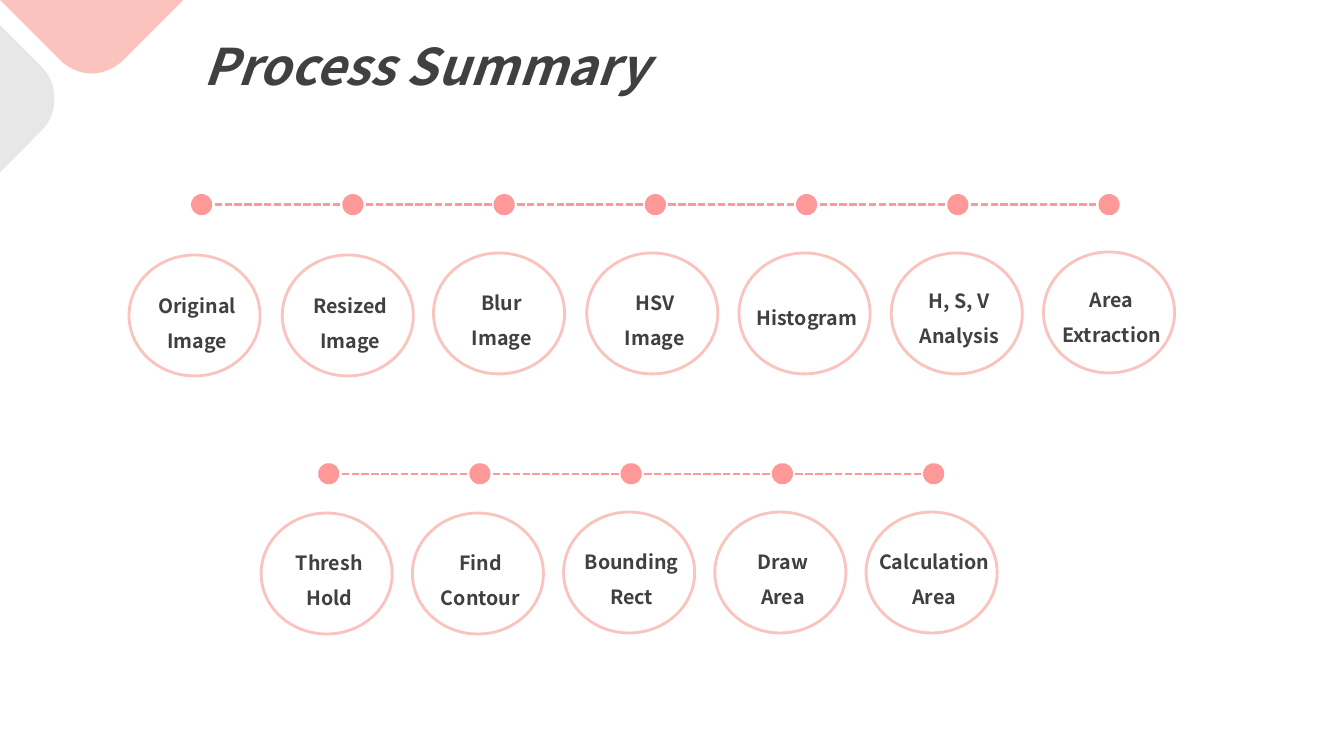
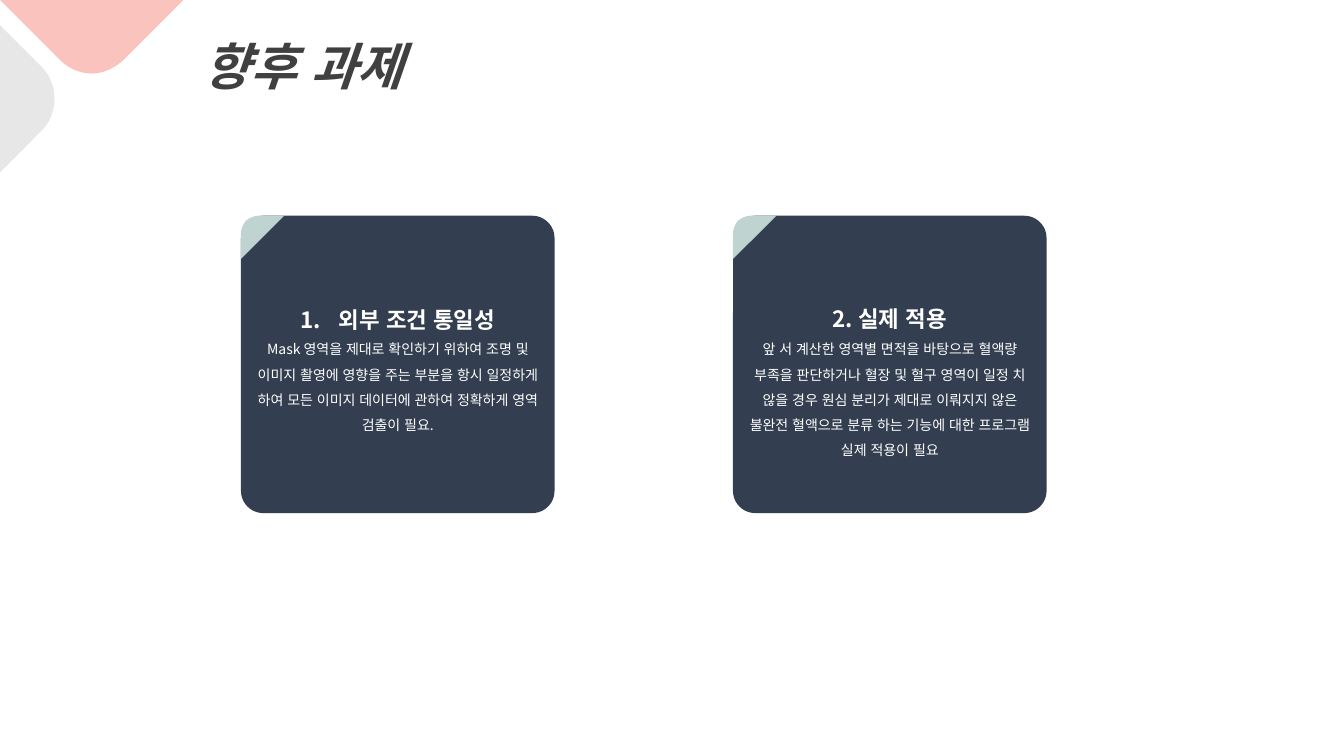
from pptx import Presentation
from pptx.dml.color import RGBColor
from pptx.enum.dml import MSO_LINE
from pptx.enum.lang import MSO_LANGUAGE_ID
from pptx.enum.shapes import MSO_CONNECTOR, MSO_SHAPE
from pptx.enum.text import MSO_ANCHOR, MSO_AUTO_SIZE, PP_ALIGN
from pptx.oxml.ns import qn
from pptx.util import Inches, Pt
from lxml.etree import SubElement

FONT = "Noto Sans CJK KR"
COLORS = {
    "text": "404040", "white": "FFFFFF", "blush": "FAC3BE", "grey": "E7E7E7",
    "coral": "FF9999", "navy": "333F50", "sage": "BFD3D1",
}
PINK_CORNER = [(0.91, 0.73), (1.02, 0.73, 1.13, 0.68, 1.22, 0.6), (1.82, 0), (0, 0),
               (0.6, 0.6), (0.68, 0.68, 0.8, 0.73, 0.91, 0.73)]
GREY_CORNER = [(0, 0.25), (0.41, 0.66), (0.5, 0.75, 0.54, 0.86, 0.54, 0.98),
               (0.54, 1.1, 0.5, 1.21, 0.41, 1.3), (0, 1.71)]
CARD_FOLD = [(0, 0.43), (0, 0.19), (0, 0.13, 0.02, 0.09, 0.05, 0.05),
             (0.09, 0.02, 0.13, 0, 0.19, 0), (0.43, 0)]

STEP = 1.5
DOT = 0.08
RING_W, RING_H = 1.3, 1.2
CARD_W, CARD_H = 3.11, 2.95

FIRST_STAGES = [
    (1.28, 2.53, 0.22, ["Original", "Image"]),
    (2.8, 2.53, 0.22, ["Resized", "Image"]),
    (4.3, 2.51, 0.21, ["Blur", "Image"]),
    (5.82, 2.51, 0.21, ["HSV", "Image"]),
    (7.33, 2.51, 0.36, ["Histogram"]),
    (8.84, 2.51, 0.19, ["H, S, V", "Analysis"]),
    (10.35, 2.5, 0.19, ["Area", "Extraction"]),
]
SECOND_STAGES = [
    (2.59, 5.09, 0.21, ["Thresh", "Hold"]),
    (4.09, 5.09, 0.21, ["Find", "Contour"]),
    (5.59, 5.08, 0.21, ["Bounding", "Rect"]),
    (7.09, 5.08, 0.21, ["Draw", "Area"]),
    (8.59, 5.08, 0.21, ["Calculation", "Area"]),
]
TASKS = [
    (2.39, 1.51, "외부 조건 통일성", True,
     "Mask 영역을 제대로 확인하기 위하여 조명 및 이미지 촬영에 영향을 주는 부분을 "
     "항시 일정하게 하여 모든 이미지 데이터에 관하여 정확하게 영역 검출이 필요."),
    (7.27, 1.77, "2. 실제 적용", False,
     "앞 서 계산한 영역별 면적을 바탕으로 혈액량 부족을 판단하거나 혈장 및 혈구 영역이 "
     "일정 치 않을 경우 원심 분리가 제대로 이뤄지지 않은 불완전 혈액으로 분류 하는 "
     "기능에 대한 프로그램 실제 적용이 필요"),
]


def rgb(name):
    return RGBColor.from_string(COLORS[name])


def write(paragraph, text, size=14, color="text", bold=False, italic=False,
          align=PP_ALIGN.CENTER, numbered=False):
    paragraph.alignment = align
    paragraph.line_spacing = 1.5
    if numbered:
        props = paragraph._p.get_or_add_pPr()
        props.set("marL", str(Inches(0.38)))
        props.set("indent", str(-Inches(0.38)))
        SubElement(props, qn("a:buAutoNum"), type="arabicPeriod")
    run = paragraph.add_run()
    run.text = text
    font = run.font
    font.name, font.size = FONT, Pt(size)
    font.bold, font.italic = bold, italic
    font.color.rgb = rgb(color)
    font.language_id = MSO_LANGUAGE_ID.KOREAN
    SubElement(run._r.get_or_add_rPr(), qn("a:ea"), typeface=FONT)


def set_frame(frame, side_margin=0.1):
    frame.word_wrap = True
    frame.auto_size = MSO_AUTO_SIZE.NONE
    frame.vertical_anchor = MSO_ANCHOR.TOP
    frame.margin_left = frame.margin_right = Inches(side_margin)
    return frame


def add_text(slide, left, top, width, height, lines, side_margin=0.1):
    box = slide.shapes.add_textbox(*map(Inches, (left, top, width, height)))
    frame = set_frame(box.text_frame, side_margin)
    for index, (text, style) in enumerate(lines):
        paragraph = frame.add_paragraph() if index else frame.paragraphs[0]
        write(paragraph, text, **style)


def paint(shape, fill, line=None, weight=0):
    shape.shadow.inherit = False
    shape.fill.solid()
    shape.fill.fore_color.rgb = rgb(fill)
    if line:
        shape.line.color.rgb = rgb(line)
        shape.line.width = Pt(weight)
    else:
        shape.line.fill.background()


def add_preset(slide, kind, left, top, width, height, *style):
    shape = slide.shapes.add_shape(kind, *map(Inches, (left, top, width, height)))
    paint(shape, *style)
    return shape


def curve_points(start, curve, steps=12):
    stops = [start, curve[0:2], curve[2:4], curve[4:6]]
    for step in range(1, steps + 1):
        t = step / steps
        weights = ((1 - t) ** 3, 3 * t * (1 - t) ** 2, 3 * t * t * (1 - t), t ** 3)
        yield tuple(sum(w * stop[axis] for w, stop in zip(weights, stops))
                    for axis in (0, 1))


def add_outline(slide, left, top, segments, fill):
    points = [segments[0]]
    for segment in segments[1:]:
        if len(segment) == 2:
            points.append(segment)
        else:
            points.extend(curve_points(points[-1], segment))
    places = [(Inches(left + x), Inches(top + y)) for x, y in points]
    builder = slide.shapes.build_freeform(*places[0])
    builder.add_line_segments(places[1:], close=True)
    paint(builder.convert_to_shape(), fill)


def add_dash(slide, start, end, y):
    dash = slide.shapes.add_connector(
        MSO_CONNECTOR.STRAIGHT, *map(Inches, (start, y, end, y)))
    dash.line.color.rgb = rgb("coral")
    dash.line.width = Pt(1.75)
    dash.line.dash_style = MSO_LINE.SQUARE_DOT
    SubElement(dash._element.spPr, qn("a:effectLst"))


def add_titled_slide(deck, heading):
    slide = deck.slides.add_slide(deck.slide_layouts[5])
    add_outline(slide, 0, 0, PINK_CORNER, "blush")
    add_outline(slide, 0, 0, GREY_CORNER, "grey")
    title = slide.shapes.title
    title.left, title.top, title.width, title.height = map(Inches, (1.92, 0, 7.76, 1))
    write(set_frame(title.text_frame).paragraphs[0], heading, size=36,
          bold=True, italic=True, align=PP_ALIGN.LEFT)
    return slide


def add_timeline(slide, left, y, count):
    for index in range(count):
        x = left + index * STEP
        add_preset(slide, MSO_SHAPE.OVAL, x - DOT / 2, y - DOT / 2, DOT, DOT,
                   "coral", "coral", 9.5)
        if index < count - 1:
            add_dash(slide, x + 0.13, x + STEP - 0.11, y)


def add_stage(slide, left, top, label_drop, words):
    add_preset(slide, MSO_SHAPE.OVAL, left, top, RING_W, RING_H, "white", "blush", 2)
    add_text(slide, left, top + label_drop, 1.35, 0.41 * len(words),
             [(word, {"bold": True}) for word in words])


def add_stage_row(slide, dots_left, dots_y, stages):
    add_timeline(slide, dots_left, dots_y, len(stages))
    for stage in stages:
        add_stage(slide, *stage)


def add_task_card(slide, left, top, text_height, heading, numbered, body):
    card = add_preset(slide, MSO_SHAPE.ROUNDED_RECTANGLE, left, top,
                      CARD_W, CARD_H, "navy")
    card.adjustments[0] = 0.075
    add_outline(slide, left, top, CARD_FOLD, "sage")
    add_text(slide, left, top + 0.71, CARD_W, text_height, [
        (heading, {"size": 16, "color": "white", "bold": True, "numbered": numbered}),
        (body, {"size": 10, "color": "white"}),
    ], side_margin=0.12)


def build_process_summary(deck):
    slide = add_titled_slide(deck, "Process Summary")
    add_stage_row(slide, 2, 2.03, FIRST_STAGES)
    add_stage_row(slide, 3.26, 4.7, SECOND_STAGES)


def build_future_tasks(deck):
    slide = add_titled_slide(deck, "향후 과제")
    for left, text_height, heading, numbered, body in TASKS:
        add_task_card(slide, left, 2.14, text_height, heading, numbered, body)


def main():
    deck = Presentation()
    deck.slide_width, deck.slide_height = Inches(13.33), Inches(7.5)
    build_process_summary(deck)
    build_future_tasks(deck)
    deck.save("out.pptx")


if __name__ == "__main__":
    main()
